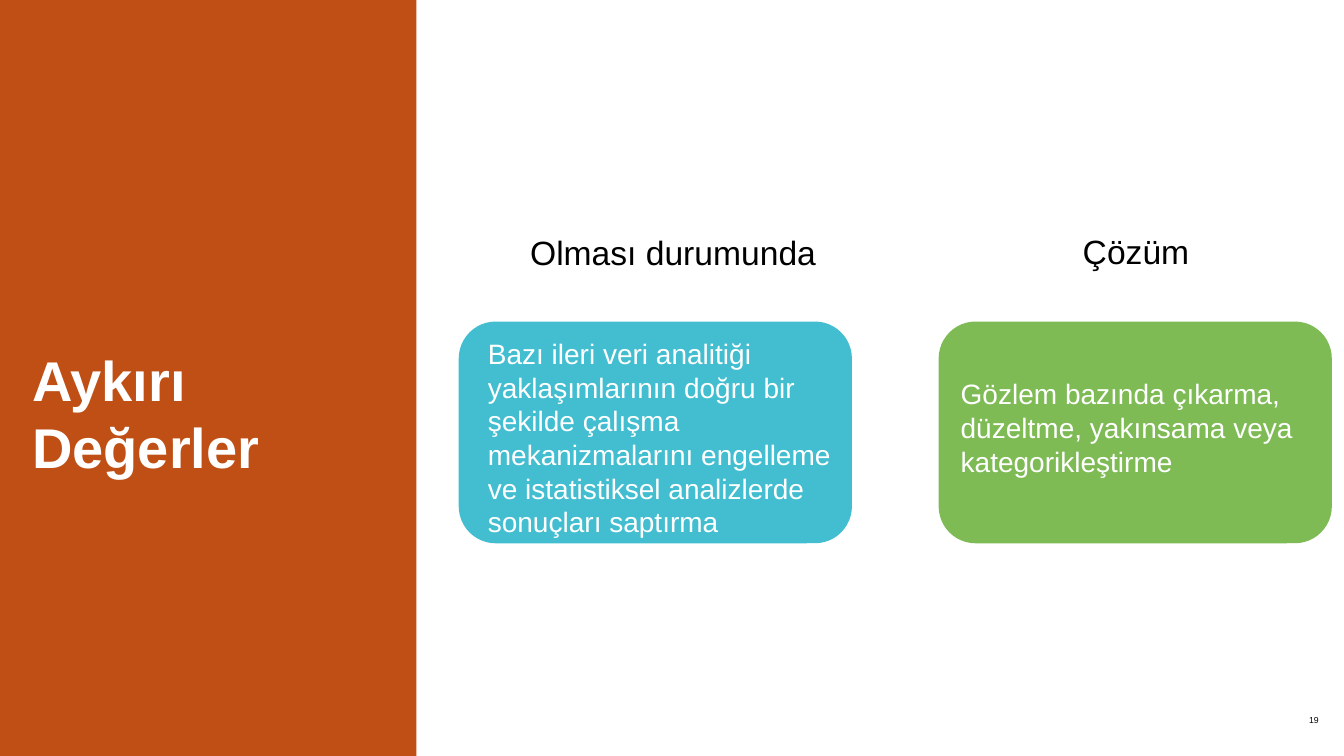
import pptx
import pptx.util
import pptx.dml.color
import pptx.enum.shapes
import pptx.enum.text

Inches = pptx.util.Inches
Shape = pptx.enum.shapes.MSO_SHAPE
Align = pptx.enum.text.PP_ALIGN
Anchor = pptx.enum.text.MSO_ANCHOR


class Deck:
    """Style and current slide, with a method for each kind of element."""

    font = "Arial"
    hues = {"rust": "BF4F14", "teal": "42BED0", "green": "7EBB55",
            "white": "FFFFFF", "black": "000000"}

    def __init__(self):
        self.file = pptx.Presentation()
        self.file.slide_width = Inches(13.33)
        self.file.slide_height = Inches(7.5)
        self.slide = self.file.slides.add_slide(self.file.slide_layouts[5])

    def hue(self, name):
        return pptx.dml.color.RGBColor.from_string(self.hues[name])

    def block(self, kind, box, fill):
        shape = self.slide.shapes.add_shape(kind, *map(Inches, box))
        shape.shadow.inherit = False
        shape.fill.solid()
        shape.fill.fore_color.rgb = self.hue(fill)
        shape.line.fill.background()

    def label(self, shape, text, size, hue, bold=False, align=Align.LEFT,
              anchor=Anchor.TOP, pad=(0.1, 0.05)):
        frame = shape.text_frame
        frame.word_wrap = True
        frame.auto_size = pptx.enum.text.MSO_AUTO_SIZE.NONE
        frame.vertical_anchor = anchor
        frame.margin_left = frame.margin_right = Inches(pad[0])
        frame.margin_top = frame.margin_bottom = Inches(pad[1])
        para = frame.paragraphs[0]
        para.alignment = align
        run = para.add_run()
        run.text = text
        run.font.name = self.font
        run.font.size = pptx.util.Pt(size)
        run.font.bold = bold
        run.font.color.rgb = self.hue(hue)

    def text(self, box, text, size, hue, **style):
        shape = self.slide.shapes.add_textbox(*map(Inches, box))
        self.label(shape, text, size, hue, **style)

    def title(self, box, text):
        shape = self.slide.shapes.title
        shape.left, shape.top, shape.width, shape.height = map(Inches, box)
        self.label(shape, text, 40, "white", bold=True, pad=(0.13, 0.13))
        tree = self.slide.shapes.element
        tree.remove(shape.element)
        tree.append(shape.element)


def main():
    deck = Deck()
    deck.block(Shape.RECTANGLE, (0, -0.03, 4.13, 7.61), "rust")
    deck.title((0.19, 3.3, 3.75, 0.94), "Aykırı Değerler")
    deck.text((12.41, 6.86, 0.8, 0.57), "19", 6.2, "black",
              align=Align.RIGHT, anchor=Anchor.MIDDLE, pad=(0.13, 0.13))
    cards = [
        (4.55, "teal", "Olması durumunda", (5.16, 2.25, 3.24, 0.5),
         "Bazı ileri veri analitiği yaklaşımlarının doğru bir şekilde çalışma "
         "mekanizmalarını engelleme ve istatistiksel analizlerde sonuçları "
         "saptırma", (4.74, 3.29, 3.67, 2.11)),
        (9.31, "green", "Çözüm", (10.64, 2.24, 2.72, 0.5),
         "Gözlem bazında çıkarma, düzeltme, yakınsama veya kategorikleştirme",
         (9.43, 3.69, 3.67, 1.11)),
    ]
    for left, fill, head, top, body, box in cards:
        deck.text(top, head, 24, "black")
        deck.block(Shape.ROUNDED_RECTANGLE, (left, 3.19, 3.9, 2.2), fill)
        deck.text(box, body, 20, "white")
    deck.file.save("out.pptx")


if __name__ == "__main__":
    main()
